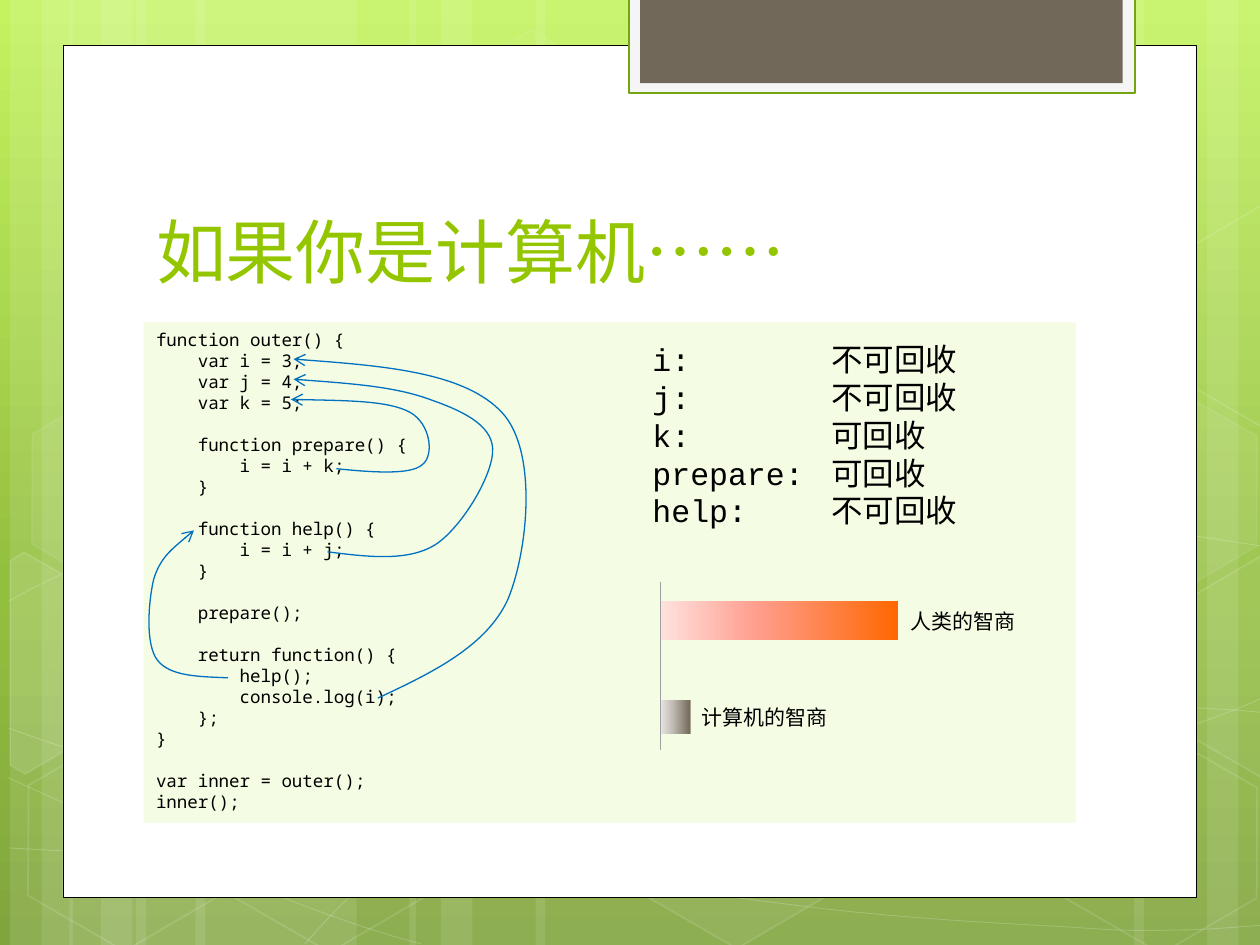
"""Build the slide on closures and garbage collection with its leafy green backdrop."""
from dataclasses import dataclass
from math import cos, radians, sin

from lxml.etree import SubElement
from pptx import Presentation
from pptx.dml.color import RGBColor
from pptx.enum.shapes import MSO_CONNECTOR, MSO_SHAPE
from pptx.enum.text import MSO_ANCHOR, PP_ALIGN
from pptx.oxml.ns import qn
from pptx.util import Pt

PX = 9144
TILT = 30


@dataclass(frozen=True)
class Theme:
    white: str = "FFFFFF"
    black: str = "000000"
    green: str = "94C600"
    frame: str = "F5F5F5"
    frame_line: str = "74A510"
    brown: str = "71685A"
    code_fill: str = "F4FCE4"
    axis: str = "A0A0A0"
    arrow: str = "0070C0"
    backdrop: tuple = ((0, "C3F35F"), (62, "93BF3F"), (100, "81A53E"))
    human: tuple = ((0, "FFE2DE"), (40, "FF9E8F"), (100, "FF6700"))
    computer: tuple = ((0, "E8E6E4"), (40, "C2BDB5"), (100, "726859"))
    heading_font: str = "League Spartan"
    code_font: str = "Noto Sans Mono"
    list_font: str = "Courier New"
    title_size: int = 40
    list_size: int = 18
    label_size: int = 12
    code_size: int = 10
    code_line: int = 12


def style(shape, fill=None, line=None, width=1, fill_opacity=100, line_opacity=100):
    shape.shadow.inherit = False
    targets = (
        (shape.fill, fill, fill_opacity, "a:solidFill"),
        (shape.line.fill, line, line_opacity, "a:ln/a:solidFill"),
    )
    for paint, color, opacity, place in targets:
        if color is None:
            paint.background()
            continue
        paint.solid()
        paint.fore_color.rgb = RGBColor.from_string(color)
        if opacity < 100:
            steps = [qn(step) for step in place.split("/")]
            solid = shape._element.spPr.find("/".join(steps))
            SubElement(solid[0], qn("a:alpha"), val=str(opacity * 1000))
    if line:
        shape.line.width = Pt(width)


def gradient(element, fill, stops, angle):
    fill.gradient()
    fill.gradient_angle = angle
    stop_list = element.find(".//" + qn("a:gsLst"))
    for stop in list(stop_list):
        stop_list.remove(stop)
    for position, color in stops:
        stop = SubElement(stop_list, qn("a:gs"), pos=str(position * 1000))
        SubElement(stop, qn("a:srgbClr"), val=color)


theme = Theme()
presentation = Presentation()
presentation.slide_width = 1000 * PX
presentation.slide_height = 750 * PX
slide = presentation.slides.add_slide(presentation.slide_layouts[6])
shapes = slide.shapes
gradient(slide._element, slide.background.fill, theme.backdrop, 270)

streaks = [
    (108, 175), (8, 50), (33, 83), (155, 175), (55, 50), (80, 83),
    (733, 175), (958, 50), (900, 83), (425, 308), (325, 50), (350, 83),
]
for left, width in streaks:
    streak = shapes.add_shape(MSO_SHAPE.RECTANGLE, left * PX, 0, width * PX, 750 * PX)
    style(streak, theme.white, fill_opacity=10)
last_streak = streak._element

hexagons = [
    (334, 36, 4, 8), (497, 589, 6, 12), (11, 591, 0, 12), (14, 312, 7, 8), (174, 592, 0, 12),
    (753, 453, 10, 12), (834, 593, 0, 12), (834, 314, 7, 8),
]
for left, top, fill_opacity, line_opacity in hexagons:
    hexagon = shapes.add_shape(MSO_SHAPE.HEXAGON, left * PX, top * PX, 175 * PX, 152 * PX)
    hexagon.adjustments[0] = 0.285
    hexagon.rotation = TILT
    style(hexagon, theme.white if fill_opacity else None, theme.white, 1, fill_opacity, line_opacity)

cut_hexagons = [
    (10, (36, 535), [(8, 445), (19, 438), (96, 482), (95, 570), (20, 614), (8, 607)]),
    (4, (985, 520), [(926, 485), (1001, 441), (1009, 446), (1009, 613), (1002, 617), (926, 573)]),
    (0, (985, 241), [(926, 207), (1001, 163), (1010, 168), (1009, 335), (1002, 339), (926, 295)]),
]
cosine, sine = cos(radians(TILT)), sin(radians(TILT))
for opacity, (middle_x, middle_y), corners in cut_hexagons:
    offsets = [(x - middle_x, y - middle_y) for x, y in corners]
    upright = [
        (round((middle_x + x * cosine + y * sine) * PX), round((middle_y - x * sine + y * cosine) * PX))
        for x, y in offsets
    ]
    builder = shapes.build_freeform(*upright[0], scale=1.0)
    builder.add_line_segments(upright[1:], close=True)
    hexagon = builder.convert_to_shape()
    hexagon.rotation = TILT
    style(hexagon, theme.white if opacity else None, theme.white, 1, opacity, 12)

panels = [
    ((50, 36, 900, 676), theme.white, theme.black, 0.5),
    ((499, -2, 402, 76), theme.frame, theme.frame_line, 1.25),
    ((508, -2, 383, 68), theme.brown, None, 0),
]
for box, fill, line, width in panels:
    panel = shapes.add_shape(MSO_SHAPE.RECTANGLE, *(value * PX for value in box))
    style(panel, fill, line, width)

code = """function outer() {
    var i = 3;
    var j = 4;
    var k = 5;

    function prepare() {
        i = i + k;
    }

    function help() {
        i = i + j;
    }

    prepare();

    return function() {
        help();
        console.log(i);
    };
}

var inner = outer();
inner();"""
verdicts = "i:\t不可回收\nj:\t不可回收\nk:\t可回收\nprepare:\t可回收\nhelp:\t不可回收"
texts = [
    ((114, 112, 768, 125), "如果你是计算机……", theme.heading_font, theme.title_size, theme.green),
    ((114, 256, 740, 397), code, theme.code_font, theme.code_size, theme.black),
    ((508, 265, 315, 162), verdicts, theme.list_font, theme.list_size, theme.black),
    ((713, 478, 142, 30), "人类的智商", theme.heading_font, theme.label_size, theme.black),
    ((547, 554, 142, 30), "计算机的智商", theme.heading_font, theme.label_size, theme.black),
]
for box, text, font, size, color in texts:
    shape = shapes.add_textbox(*(value * PX for value in box))
    if text == code:
        style(shape, theme.code_fill)
    frame = shape.text_frame
    frame.word_wrap = True
    frame.vertical_anchor = MSO_ANCHOR.BOTTOM if size == theme.title_size else MSO_ANCHOR.TOP
    paragraph = frame.paragraphs[0]
    after_gap = False
    for number, line in enumerate(text.split("\n")):
        if not line:
            after_gap = True
            continue
        if number:
            paragraph = frame.add_paragraph()
        paragraph.text = line
        paragraph.alignment = PP_ALIGN.LEFT
        if after_gap:
            paragraph.space_before = Pt(theme.code_line)
            after_gap = False
        if "\t" in line:
            tabs = SubElement(paragraph._p.get_or_add_pPr(), qn("a:tabLst"))
            SubElement(tabs, qn("a:tab"), pos=str(142 * PX), algn="l")
        paragraph.font.name = font
        paragraph.font.size = Pt(size)
        paragraph.font.color.rgb = RGBColor.from_string(color)

for box, stops in [((524, 477, 189, 31), theme.human), ((524, 556, 24, 27), theme.computer)]:
    bar = shapes.add_shape(MSO_SHAPE.RECTANGLE, *(value * PX for value in box))
    style(bar)
    gradient(bar._element, bar.fill, stops, 0)

axis = shapes.add_connector(MSO_CONNECTOR.STRAIGHT, 524 * PX, 462 * PX, 524 * PX, 595 * PX)
axis.line.color.rgb = RGBColor.from_string(theme.axis)
axis.line.width = Pt(0.75)
SubElement(axis._element.spPr, qn("a:effectLst"))

swirls = [
    [(242, 749), (260, 729), (278, 709), (302, 691), (326, 673), (360, 653), (388, 639),
     (416, 625), (433, 619), (470, 609), (506, 599), (573, 585), (608, 578),
     (644, 571), (649, 571), (680, 569), (711, 566), (760, 563), (794, 562),
     (829, 561), (886, 562), (886, 562), (908, 562), (931, 562), (953, 562),
     (971, 563), (988, 564), (997, 565), (1006, 566), (1003, 565), (1006, 566)],
    [(7, 578), (38, 589), (70, 600), (128, 616), (186, 631), (273, 656), (357, 673),
     (440, 690), (545, 708), (628, 718), (711, 729), (800, 733), (853, 736),
     (905, 740), (919, 738), (945, 738), (971, 737), (989, 735), (1007, 734)],
    [(6, 617), (127, 672), (247, 727), (334, 749)],
    [(7, 477), (36, 461), (65, 446), (121, 431), (178, 416), (259, 394), (347, 387),
     (436, 380), (544, 379), (654, 387), (764, 395), (947, 426), (1007, 434)],
    [(7, 673), (61, 676), (115, 679), (190, 678), (265, 677), (358, 675), (458, 665),
     (558, 655), (700, 636), (792, 617), (883, 598), (977, 568), (1007, 551)],
]
references = [
    [(181, 538), (158, 537), (135, 537), (125, 524), (115, 511), (118, 477), (122, 460),
     (127, 443), (141, 432), (154, 421)],
    [(300, 554), (343, 534), (386, 513), (403, 476), (419, 438), (427, 359), (399, 328),
     (370, 296), (302, 290), (233, 285)],
    [(260, 438), (292, 442), (324, 446), (346, 432), (367, 418), (392, 376), (391, 356),
     (390, 337), (367, 326), (341, 317), (314, 307), (274, 304), (233, 301)],
    [(267, 372), (296, 375), (326, 377), (335, 369), (345, 362), (342, 336), (325, 327),
     (308, 318), (270, 318), (231, 317)],
]
for points in swirls + references:
    builder = shapes.build_freeform(*points[0], scale=PX)
    builder.add_line_segments(points[1:], close=False)
    curve = builder.convert_to_shape()
    outline = curve._element.find(".//" + qn("a:moveTo")).getparent()
    for number, segment in enumerate(outline.findall(qn("a:lnTo"))):
        if number % 3 == 0:
            bezier = SubElement(outline, qn("a:cubicBezTo"))
        bezier.append(segment[0])
        outline.remove(segment)
    if points in references:
        style(curve, line=theme.arrow, width=0.75)
        SubElement(curve._element.spPr.find(qn("a:ln")), qn("a:tailEnd"), type="arrow")
    else:
        style(curve, line=theme.white, width=0.5, line_opacity=20)
        last_streak.addnext(curve._element)

presentation.save("out.pptx")
